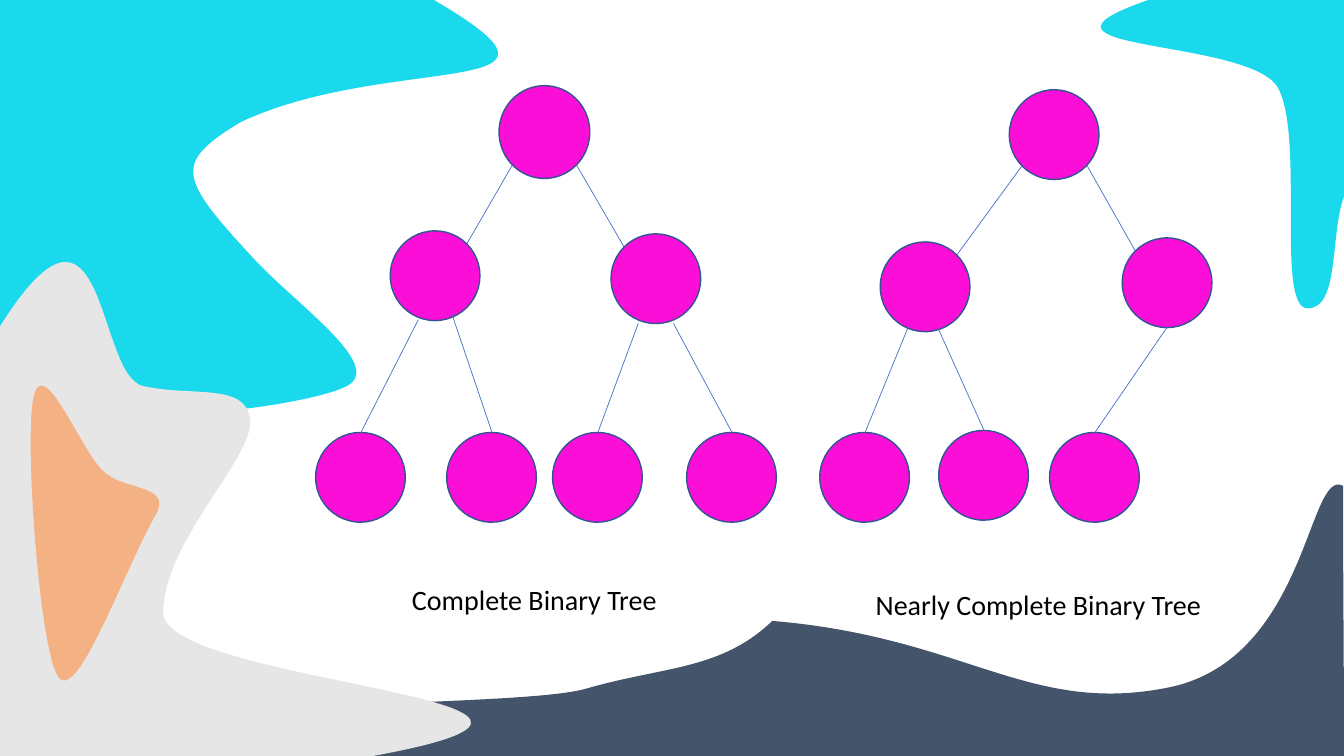
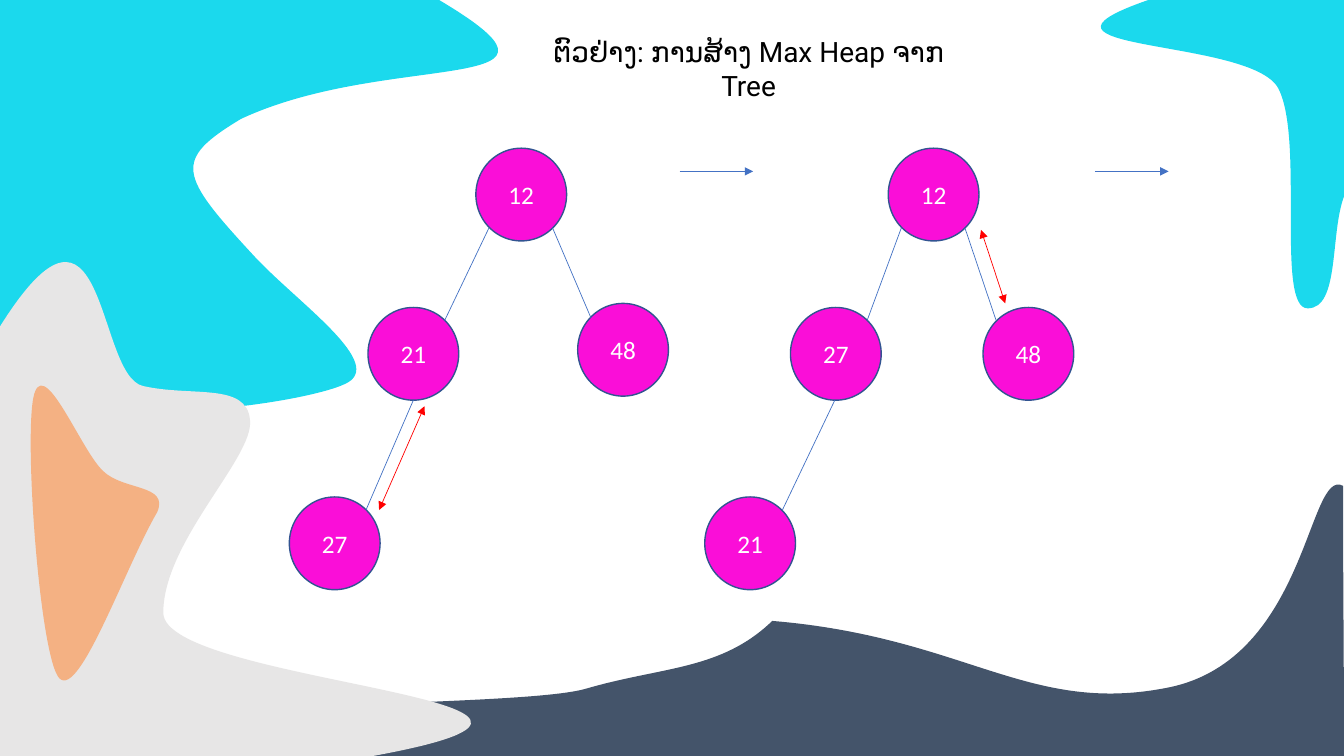
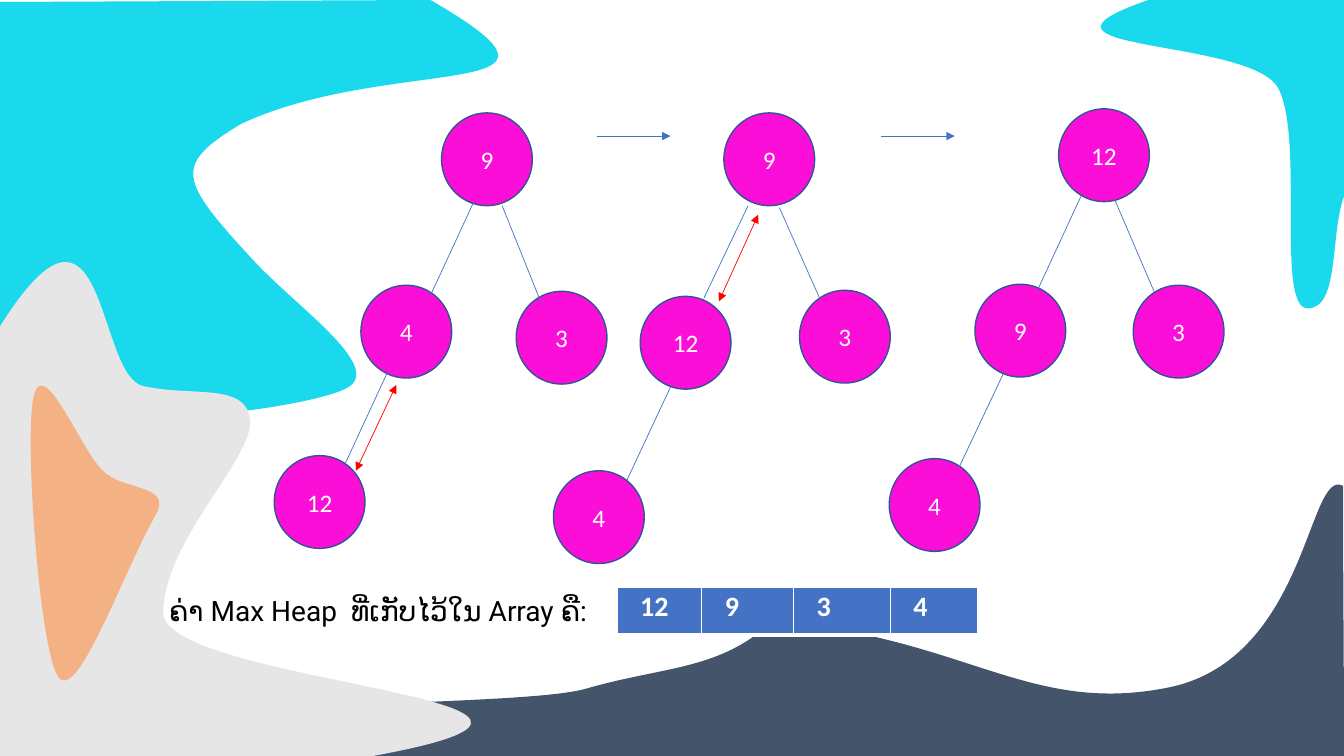
import pptx
import pptx.util
import pptx.dml.color
import pptx.enum.shapes
import pptx.enum.text
import pptx.oxml
import pptx.oxml.ns

Inches = pptx.util.Inches
Pt = pptx.util.Pt
RGBColor = pptx.dml.color.RGBColor
ALIGN = pptx.enum.text.PP_ALIGN
ANCHOR = pptx.enum.text.MSO_ANCHOR
NS = pptx.oxml.ns.nsdecls("a")

NAVY = RGBColor(0x44, 0x54, 0x6A)
CYAN = RGBColor(0x1B, 0xD9, 0xED)
GREY = RGBColor(0xE7, 0xE6, 0xE6)
PEACH = RGBColor(0xF4, 0xB1, 0x83)
PINK = RGBColor(0xFA, 0x0E, 0xD8)
RIM = RGBColor(0x32, 0x54, 0x91)
BLUE = RGBColor(0x44, 0x72, 0xC4)
RED = RGBColor(0xFF, 0x00, 0x00)
WHITE = RGBColor(0xFF, 0xFF, 0xFF)
BLACK = RGBColor(0x00, 0x00, 0x00)

BODY = "Calibri"
HEAD = "Roboto"
SMALL = (0.89, 0.89)
LARGE = (0.9, 0.92)

# Blobs: a box, then a start point, lines (x, y) and curves (six numbers).
WAVE = ((2.09, 4.8, 11.25, 2.69),
        [(5.82, 6.83), (6.58, 6.61, 7.15, 6.65, 7.66, 6.16),
         (9.58, 6.32, 10.2, 7.1, 11.59, 6.82),
         (12.97, 6.54, 12.97, 4.63, 13.32, 4.82),
         (13.32, 5.71, 13.33, 6.6, 13.33, 7.5), (3.11, 7.5),
         (-0.06, 6.89, 5.07, 7.06, 5.82, 6.83)])
SPLASH = ((0, -0.02, 4.94, 4.12),
          [(0, 0), (4.27, -0.02), (6.05, 1.01, 3.89, 0.51, 2.39, 1.21),
           (1.71, 1.62, 1.77, 1.76, 2.53, 2.58),
           (2.96, 3.04, 3.85, 3.65, 3.42, 3.84),
           (3, 4.04, 0.72, 4.38, 0, 3.75), (0, 0)])
CLOUD = ((0, 2.6, 4.67, 4.9),
         [(0, 3.24), (1.06, 1.55, 0.95, 3.73, 1.42, 3.83),
          (1.9, 3.94, 2.45, 3.79, 2.48, 4.17),
          (2.52, 4.54, 1.62, 5.37, 1.62, 6.08),
          (1.62, 6.79, 6.76, 6.94, 3.7, 7.5), (0, 7.5), (0, 3.24)])
DRIP = ((10.92, 0, 2.41, 3.06),
        [(11.39, 0), (13.33, 0), (13.33, 1.95),
         (13.19, 2.32, 13.29, 3.06, 12.97, 3.06),
         (12.65, 3.06, 12.94, 1.39, 12.68, 0.88),
         (12.42, 0.37, 9.89, 0.52, 11.39, 0)])
LEAF = ((0.31, 3.82, 1.28, 2.92),
        [(0.35, 3.88), (0.47, 3.6, 0.81, 4.47, 1.02, 4.67),
         (1.22, 4.87, 1.68, 4.8, 1.56, 5.08),
         (1.24, 5.63, 0.79, 6.93, 0.59, 6.73),
         (0.39, 6.53, 0.22, 4.16, 0.35, 3.88)])

# Trees: nodes (left, top, label) and edges (x1, y1, x2, y2).
FULL = ([(6.06, 2.32, ""), (3.87, 2.29, ""), (6.81, 4.29, ""),
         (5.48, 4.29, ""), (4.43, 4.29, ""), (3.13, 4.29, "")],
        [(5.08, 1.64, 4.63, 2.42), (5.72, 1.64, 6.19, 2.45),
         (3.58, 4.29, 4.15, 3.17), (4.88, 4.29, 4.48, 3.11),
         (5.93, 4.29, 6.33, 3.21), (6.68, 3.21, 7.26, 4.29)])
NEAR = ([(10.01, 0.89, ""), (8.73, 2.4, ""), (11.13, 2.36, ""),
         (8.13, 4.29, ""), (9.31, 4.27, ""), (10.41, 4.29, "")],
        [(10.14, 1.64, 9.49, 2.53), (10.78, 1.64, 11.26, 2.49),
         (8.58, 4.29, 9.01, 3.24), (9.76, 4.27, 9.31, 3.27),
         (10.86, 4.29, 11.58, 3.24)])
BUILD = [
    ([(4.72, 1.47, "12"), (3.65, 3.05, "21"), (5.73, 3.01, "48"),
      (2.87, 4.93, "27")],
     [(4.85, 2.26, 4.41, 3.18), (5.48, 2.26, 5.86, 3.15),
      (4.1, 3.97, 3.63, 5.06)]),
    ([(8.81, 1.47, "12"), (7.84, 3.05, "27"), (9.75, 3.05, "48"),
      (6.99, 4.93, "21")],
     [(8.94, 2.26, 8.6, 3.18), (9.57, 2.26, 9.88, 3.18),
      (8.28, 3.97, 7.76, 5.06)]),
]
SORT = [
    ([(4.38, 1.12, "9"), (3.58, 2.83, "4"), (5.12, 2.89, "3"),
      (2.72, 4.52, "12")],
     [(4.7, 2, 4.27, 2.93), (4.98, 2.04, 5.37, 3.01),
      (3.84, 3.7, 3.41, 4.63)]),
    ([(7.18, 1.12, "9"), (6.35, 2.94, "12"), (7.93, 2.88, "3"),
      (5.49, 4.67, "4")],
     [(7.42, 2.04, 6.98, 2.96), (7.73, 2.06, 8.13, 2.96),
      (6.65, 3.84, 6.22, 4.76)]),
    ([(10.5, 1.08, "12"), (9.67, 2.82, "9"), (11.24, 2.83, "3"),
      (8.82, 4.55, "4")],
     [(10.72, 1.95, 10.29, 2.88), (11.06, 1.99, 11.45, 2.9),
      (9.95, 3.71, 9.51, 4.64)]),
]


def style(para, size, color, font=BODY, bold=False):
    for run in para.runs:
        run.font.size = Pt(size)
        run.font.name = font
        run.font.bold = bold
        run.font.color.rgb = color


def bend(shape, box, route):
    """Fit the outline to its box and give it its true curves."""
    shape.left, shape.top, shape.width, shape.height = map(Inches, box)
    track = shape._element.find(".//" + pptx.oxml.ns.qn("a:path"))
    track.set("w", str(shape.width))
    track.set("h", str(shape.height))
    for old, part in zip(list(track), route):
        tag = "cubicBezTo" if len(part) == 6 else old.tag.split("}")[1]
        pts = "".join(
            f'<a:pt x="{Inches(x - box[0])}" y="{Inches(y - box[1])}"/>'
            for x, y in zip(part[::2], part[1::2]))
        track.replace(old, pptx.oxml.parse_xml(
            f'<a:{tag} {NS}>{pts}</a:{tag}>'))


def blob(slide, form, color, shift=0):
    box, route = form
    pts = [(Inches(part[-2]), Inches(part[-1])) for part in route]
    pen = slide.shapes.build_freeform(*pts[0], scale=1.0)
    pen.add_line_segments(pts[1:], close=True)
    shape = pen.convert_to_shape()
    bend(shape, box, route)
    shape.top += Inches(shift)
    shape.shadow.inherit = False
    shape.fill.solid()
    shape.fill.fore_color.rgb = color
    shape.line.fill.background()


def scene(deck, shift):
    """Add a slide with the shared backdrop; shift moves the top left blob."""
    slide = deck.slides.add_slide(deck.slide_layouts[6])
    blob(slide, WAVE, NAVY)
    blob(slide, SPLASH, CYAN, shift)
    blob(slide, CLOUD, GREY)
    blob(slide, DRIP, CYAN)
    blob(slide, LEAF, PEACH)
    return slide


def node(slide, x, y, text, size):
    oval = slide.shapes.add_shape(
        pptx.enum.shapes.MSO_SHAPE.OVAL, *map(Inches, (x, y, *size)))
    oval.shadow.inherit = False
    oval.fill.solid()
    oval.fill.fore_color.rgb = PINK
    oval.line.color.rgb = RIM
    oval.line.width = Pt(1)
    if text:
        frame = oval.text_frame
        frame.text = text
        frame.vertical_anchor = ANCHOR.MIDDLE
        frame.paragraphs[0].alignment = ALIGN.CENTER
        style(frame.paragraphs[0], 18, WHITE)


def line(slide, ends, color=BLUE, tips=()):
    """Draw a line; tips names the ends (headEnd, tailEnd) with arrows."""
    link = slide.shapes.add_connector(
        pptx.enum.shapes.MSO_CONNECTOR.STRAIGHT, *map(Inches, ends))
    link.line.color.rgb = color
    link.line.width = Pt(0.5)
    props = link._element.spPr
    for tip in tips:
        props.find(pptx.oxml.ns.qn("a:ln")).append(
            pptx.oxml.parse_xml(f'<a:{tip} {NS} type="triangle"/>'))
    props.append(pptx.oxml.parse_xml(f'<a:effectLst {NS}/>'))


def tree(slide, nodes, edges, size=LARGE):
    for x, y, text in nodes:
        node(slide, x, y, text, size)
    for ends in edges:
        line(slide, ends)


def step(slide, x, y):
    """Arrow from one tree to the next."""
    line(slide, (x, y, x + 0.73, y), tips=("tailEnd",))


def swap(slide, *ends):
    line(slide, ends, RED, ("headEnd", "tailEnd"))


def label(slide, box, text, font=BODY):
    frame = slide.shapes.add_textbox(*map(Inches, box)).text_frame
    frame.word_wrap = True
    frame.vertical_anchor = ANCHOR.MIDDLE
    frame.text = text
    frame.paragraphs[0].alignment = ALIGN.CENTER
    style(frame.paragraphs[0], 20, BLACK, font)


def edge(cell):
    """White cell borders, heavier below."""
    for side, width in zip("LRTB", (1, 1, 1, 3)):
        cell._tc.get_or_add_tcPr().append(pptx.oxml.parse_xml(
            f'<a:ln{side} {NS} w="{Pt(width)}">'
            f'<a:solidFill><a:srgbClr val="{WHITE}"/></a:solidFill>'
            f'</a:ln{side}>'))


def array(slide, x, y, high, wide, vals):
    box = map(Inches, (x, y, sum(wide), high))
    grid = slide.shapes.add_table(1, len(vals), *box).table
    for i, val in enumerate(vals):
        grid.columns[i].width = Inches(wide[i])
        cell = grid.cell(0, i)
        edge(cell)
        cell.fill.solid()
        cell.fill.fore_color.rgb = BLUE
        cell.margin_left = Inches(0.23)
        cell.margin_right = Inches(0.07)
        cell.margin_top = cell.margin_bottom = 0
        cell.text_frame.text = val
        para = cell.text_frame.paragraphs[0]
        para.line_spacing = 1.07
        style(para, 20, WHITE, bold=True)


def main():
    deck = pptx.Presentation()
    deck.slide_width = Inches(13.33)
    deck.slide_height = Inches(7.5)

    slide = scene(deck, 0)
    node(slide, 4.95, 0.85, "", LARGE)
    for nodes, edges in (FULL, NEAR):
        tree(slide, nodes, edges, SMALL)
    label(slide, (3.13, 5.64, 4.34, 0.61), "Complete Binary Tree")
    label(slide, (8.58, 5.78, 3.44, 0.44), "Nearly Complete Binary Tree")

    slide = scene(deck, -0.03)
    label(slide, (5.15, 0.32, 4.55, 0.71),
          "ຕົວຢ່າງ: ການສ້າງ Max Heap ຈາກ Tree", HEAD)
    for nodes, edges in BUILD:
        tree(slide, nodes, edges)
    for x in (6.74, 10.86):
        step(slide, x, 1.7)
    swap(slide, 4.21, 4.03, 3.76, 5.06)
    swap(slide, 9.73, 2.28, 9.97, 3.01)

    slide = scene(deck, 0.02)
    for nodes, edges in SORT:
        tree(slide, nodes, edges)
    for x in (5.92, 8.74):
        step(slide, x, 1.35)
    swap(slide, 3.93, 3.82, 3.53, 4.67)
    swap(slide, 7.52, 2.13, 7.13, 2.99)
    label(slide, (1.58, 5.75, 4.34, 0.6),
          "ຄ່າ Max Heap  ທີ່ເກັບໄວ້ໃນ Array ຄື:", HEAD)
    array(slide, 6.12, 5.83, 0.47, (0.84, 0.91, 0.96, 0.87),
          ("12", "9", "3", "4"))

    deck.save("out.pptx")


if __name__ == "__main__":
    main()
